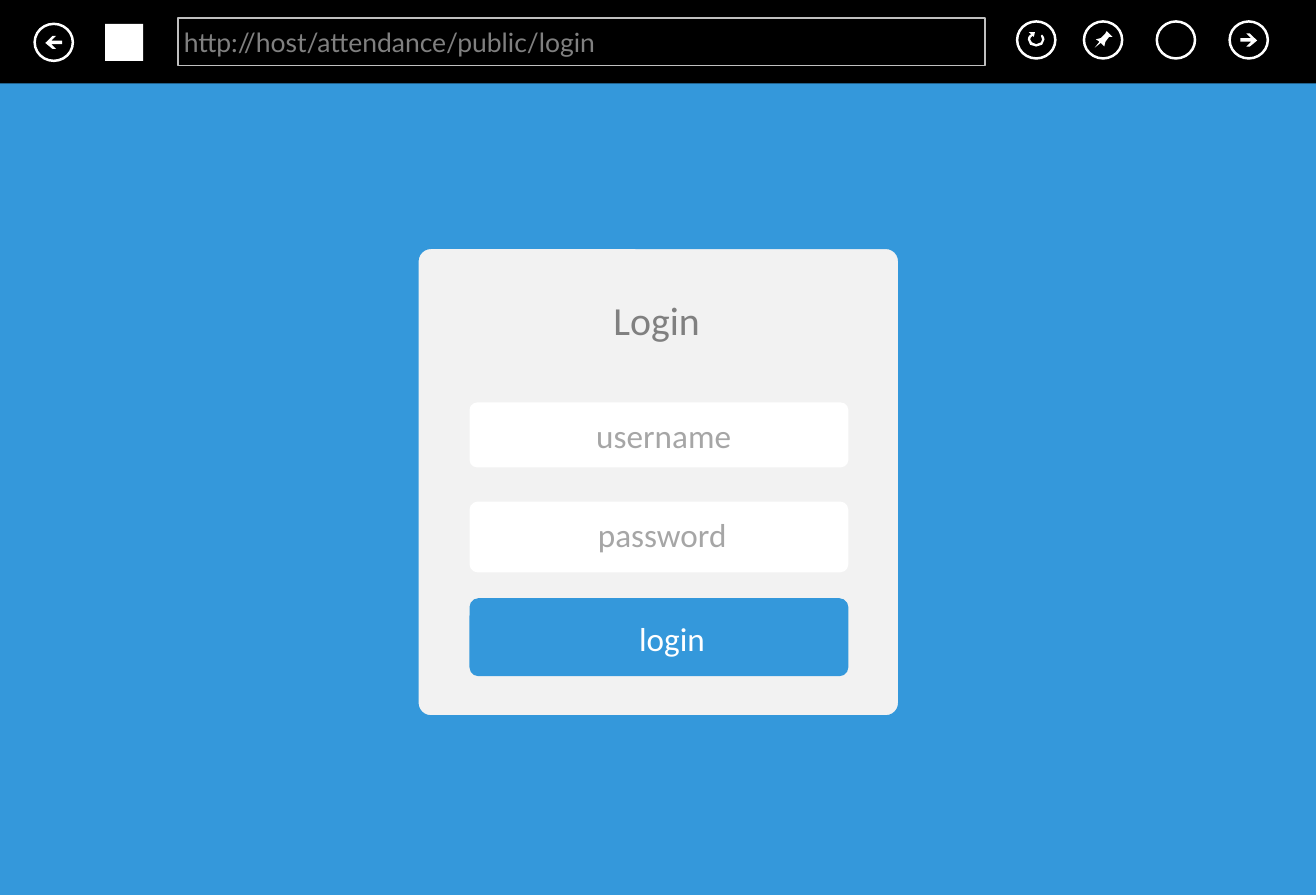
import pptx
import pptx.util
import pptx.dml.color
import pptx.enum.shapes
import pptx.enum.text
from dataclasses import dataclass
from pptx.util import Inches

SHAPES = pptx.enum.shapes.MSO_SHAPE
ALIGN = pptx.enum.text.PP_ALIGN
ANCHOR = pptx.enum.text.MSO_ANCHOR


@dataclass(frozen=True)
class Theme:
    blue: str = "3498DB"
    black: str = "000000"
    white: str = "FFFFFF"
    panel: str = "F2F2F2"
    border: str = "BFBFBF"
    text: str = "808080"
    hint: str = "A6A6A6"
    address_font: str = "Lato"
    form_font: str = "Calibri"
    address_size: int = 16
    title_size: int = 24
    field_size: int = 20


THEME = Theme()
CENTIMETERS_PER_INCH = 2.54
SLIDE_WIDTH, SLIDE_HEIGHT = 28 / CENTIMETERS_PER_INCH, 7.5
BUTTON_WIDTH, BUTTON_HEIGHT = 0.32, 0.31

ARROW_RIGHT = [(18, 14), (14, 10), (17, 10), (23, 16), (17, 21), (14, 21),
               (18, 17), (9, 17), (9, 14)]
ARROW_LEFT = [(100 * BUTTON_WIDTH - x, y) for x, y in ARROW_RIGHT]
PIN = [(21, 13), (18, 17), (17, 21), (14, 18), (9, 22), (13, 17), (10, 15),
       (14, 14), (18, 10), (19, 8), (24, 13)]
RELOAD = [(21, 11), (20, 12), (21, 15), (20, 17.5), (16, 19), (12.5, 17.5),
          (11, 15), (11.5, 13.5), (13, 12), (14, 13), (15, 9), (10, 9),
          (12, 11), (11, 11), (9.5, 13), (9, 15), (11, 19.5), (16, 21),
          (21, 19.5), (23, 15), (22.5, 13)]


def color(value):
    return pptx.dml.color.RGBColor.from_string(value)


def paint(shape, fill=None, line=None, line_width=1):
    shape.shadow.inherit = False
    if fill:
        shape.fill.solid()
        shape.fill.fore_color.rgb = color(fill)
    else:
        shape.fill.background()
    if line:
        shape.line.color.rgb = color(line)
        shape.line.width = pptx.util.Pt(line_width)
    else:
        shape.line.fill.background()


def add_box(slide, kind, left, top, width, height, **style):
    shape = slide.shapes.add_shape(
        kind, Inches(left), Inches(top), Inches(width), Inches(height))
    paint(shape, **style)
    return shape


def add_rounded_box(slide, left, top, width, height, corner, fill, line):
    shape = add_box(slide, SHAPES.ROUNDED_RECTANGLE, left, top, width, height,
                    fill=fill, line=line)
    shape.adjustments[0] = corner


def write(shape, text, font, size, text_color, alignment=ALIGN.LEFT):
    shape.text_frame.text = text
    shape.text_frame.word_wrap = True
    paragraph = shape.text_frame.paragraphs[0]
    paragraph.alignment = alignment
    run_font = paragraph.runs[0].font
    run_font.name = font
    run_font.size = pptx.util.Pt(size)
    run_font.color.rgb = color(text_color)


def add_label(slide, left, top, width, height, text, size, text_color,
              alignment=ALIGN.LEFT):
    label = slide.shapes.add_textbox(
        Inches(left), Inches(top), Inches(width), Inches(height))
    write(label, text, THEME.form_font, size, text_color, alignment)


def add_round_button(slide, left, top, icon):
    add_box(slide, SHAPES.OVAL, left, top, BUTTON_WIDTH, BUTTON_HEIGHT,
            line=THEME.white, line_width=1.5)
    if icon:
        points = [(Inches(left + x / 100), Inches(top + y / 100))
                  for x, y in icon]
        builder = slide.shapes.build_freeform(*points[0])
        builder.add_line_segments(points[1:], close=True)
        paint(builder.convert_to_shape(), fill=THEME.white)


def add_browser_bar(slide):
    add_box(slide, SHAPES.RECTANGLE, 0, 0, SLIDE_WIDTH, 0.7, fill=THEME.black)
    address = add_box(slide, SHAPES.RECTANGLE, 1.49, 0.15, 6.76, 0.4,
                      line=THEME.border)
    write(address, "http://host/attendance/public/login",
          THEME.address_font, THEME.address_size, THEME.text)
    frame = address.text_frame
    frame.vertical_anchor = ANCHOR.MIDDLE
    frame.margin_left = frame.margin_top = frame.margin_bottom = Inches(0.05)
    add_box(slide, SHAPES.RECTANGLE, 0.88, 0.2, BUTTON_WIDTH, BUTTON_HEIGHT,
            fill=THEME.white)
    add_round_button(slide, 0.29, 0.2, ARROW_LEFT)
    for left, icon in [(8.52, RELOAD), (9.08, PIN), (9.69, None),
                       (10.3, ARROW_RIGHT)]:
        add_round_button(slide, left, 0.18, icon)


def add_login_form(slide):
    add_rounded_box(slide, 3.5, 2.08, 4.03, 3.92, 0.028,
                    THEME.panel, THEME.blue)
    for top, height, fill in [(3.38, 0.53, THEME.white),
                              (4.21, 0.58, THEME.white),
                              (5.02, 0.64, THEME.blue)]:
        add_rounded_box(slide, 3.94, top, 3.16, height, 0.108, fill, fill)
    add_label(slide, 5.04, 2.43, 0.94, 0.5, "Login",
              THEME.title_size, THEME.text)
    add_label(slide, 5.1, 5.13, 1.06, 0.44, "login",
              THEME.field_size, THEME.white, ALIGN.CENTER)
    add_label(slide, 4.91, 4.26, 1.44, 0.44, "password",
              THEME.field_size, THEME.hint)
    add_label(slide, 4.69, 3.43, 1.74, 0.44, "username",
              THEME.field_size, THEME.hint, ALIGN.CENTER)


def main():
    presentation = pptx.Presentation()
    presentation.slide_width = Inches(SLIDE_WIDTH)
    presentation.slide_height = Inches(SLIDE_HEIGHT)
    slide = presentation.slides.add_slide(presentation.slide_layouts[6])
    slide.background.fill.solid()
    slide.background.fill.fore_color.rgb = color(THEME.blue)
    add_browser_bar(slide)
    add_login_form(slide)
    presentation.save("out.pptx")


if __name__ == "__main__":
    main()
